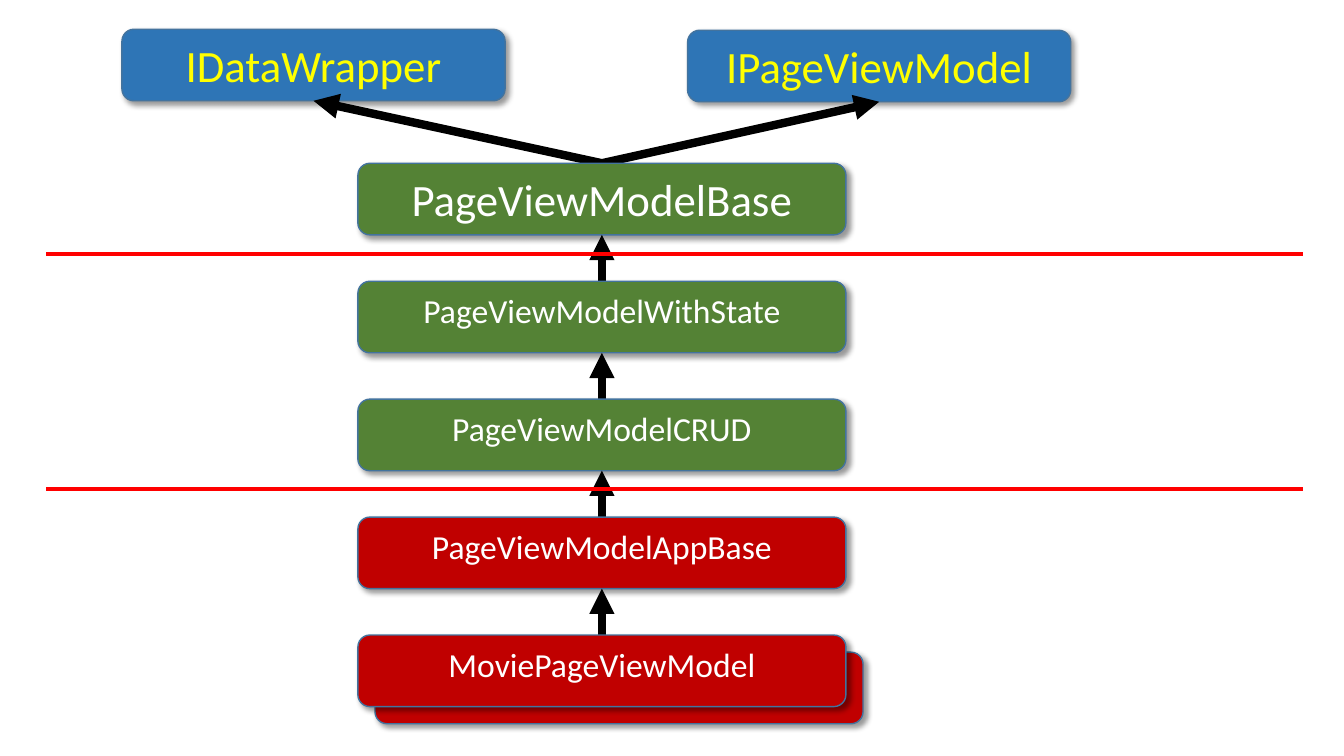
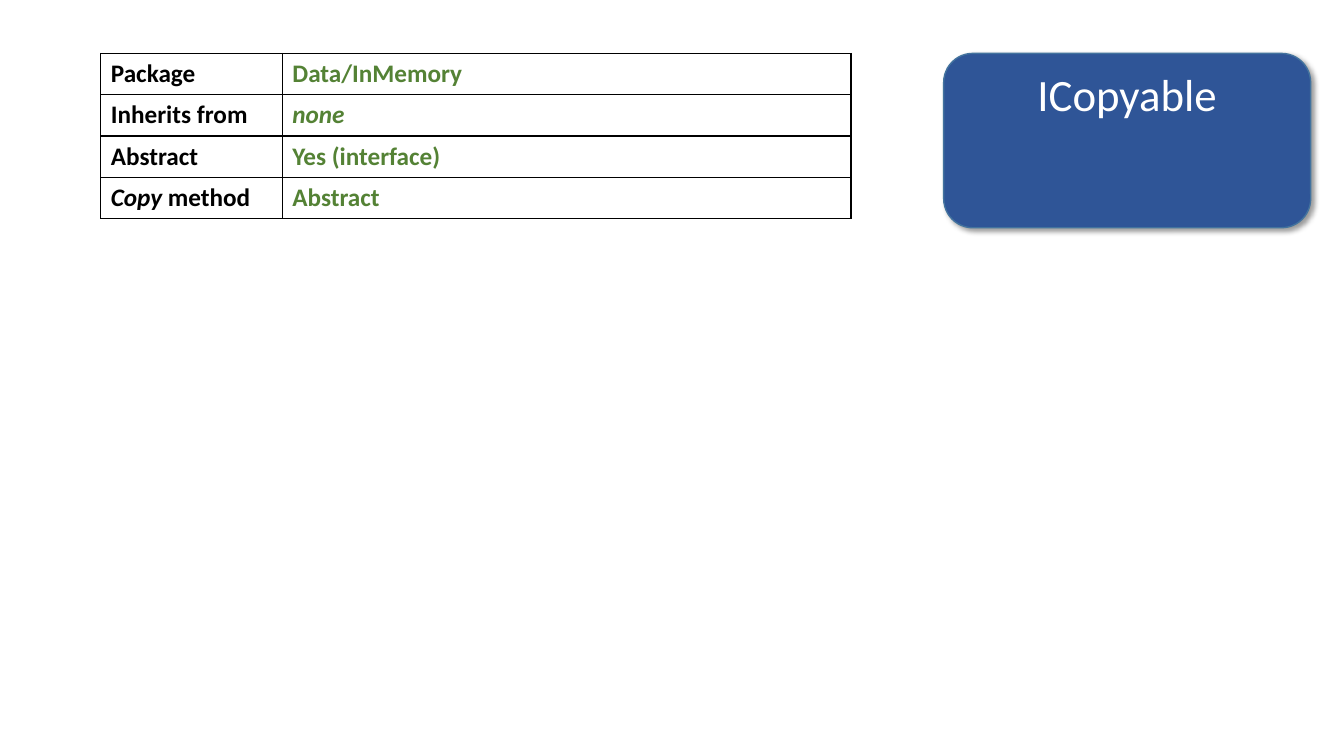
from lxml.etree import SubElement as Sub
from pptx import Presentation
from pptx.dml.color import RGBColor as RGB
from pptx.enum.shapes import MSO_CONNECTOR as Conn, MSO_SHAPE as Shape
from pptx.enum.text import MSO_ANCHOR as Anchor, PP_ALIGN as Align
from pptx.oxml.ns import qn
from pptx.util import Inches, Pt

BLACK = RGB(0x00, 0x00, 0x00)
WHITE = RGB(0xFF, 0xFF, 0xFF)
YELLOW = RGB(0xFF, 0xFF, 0x00)
BLUE = RGB(0x2E, 0x75, 0xB6)
NAVY = RGB(0x2F, 0x55, 0x97)
GREEN = RGB(0x54, 0x82, 0x35)
CRIMSON = RGB(0xC0, 0x00, 0x00)
RED = RGB(0xFF, 0x00, 0x00)
EDGE = RGB(0x43, 0x73, 0x9E)

TOP, BOTTOM = 0, 2  # connection sites of a box


class Deck:
    font = "Calibri"

    def __init__(self):
        self.prs = Presentation()
        self.prs.slide_width = Inches(13.33)
        self.prs.slide_height = Inches(7.5)

    def page(self):
        self.slide = self.prs.slides.add_slide(self.prs.slide_layouts[6])

    def run(self, para, text, size, color, bold=False, italic=False):
        run = para.add_run()
        run.text = text
        font = run.font
        font.name, font.size = self.font, Pt(size)
        font.bold, font.italic = bold, italic
        font.color.rgb = color

    def shade(self, shape):
        shape.shadow.inherit = False
        effects = shape.element.spPr.find(qn("a:effectLst"))
        outer = Sub(effects, qn("a:outerShdw"), blurRad=str(Pt(4)), dist=str(Pt(3)),
                    dir=str(45 * 60000), algn="tl", rotWithShape="0")
        color = Sub(outer, qn("a:srgbClr"), val=str(BLACK))
        Sub(color, qn("a:alpha"), val="40000")

    def box(self, x, y, w, h, fill, text="", size=24, color=WHITE):
        box = self.slide.shapes.add_shape(
            Shape.ROUNDED_RECTANGLE, Inches(x), Inches(y), Inches(w), Inches(h))
        box.fill.solid()
        box.fill.fore_color.rgb = fill
        box.line.color.rgb = EDGE
        box.line.width = Pt(1)
        self.shade(box)
        if text:
            frame = box.text_frame
            frame.word_wrap = True
            frame.vertical_anchor = Anchor.TOP
            para = frame.paragraphs[0]
            para.alignment = Align.CENTER
            self.run(para, text, size, color)
        return box

    def line(self, x1, y1, x2, y2, color, width):
        line = self.slide.shapes.add_connector(
            Conn.STRAIGHT, Inches(x1), Inches(y1), Inches(x2), Inches(y2))
        line.line.color.rgb = color
        line.line.width = Pt(width)
        Sub(line.element.spPr, qn("a:effectLst"))
        return line

    def arrow(self, child, parent):
        """Glue an arrow from child up to parent, layered behind the child."""
        arrow = self.line(0, 0, 1, 1, BLACK, 6)
        arrow.begin_connect(child, TOP)
        arrow.end_connect(parent, BOTTOM)
        Sub(arrow.element.spPr.find(qn("a:ln")), qn("a:tailEnd"), type="triangle")
        child.element.addprevious(arrow.element)

    def frame(self, cell):
        props = cell._tc.get_or_add_tcPr()
        for side in ("lnL", "lnR", "lnT", "lnB"):
            edge = Sub(props, qn("a:" + side), w=str(Pt(1)))
            fill = Sub(edge, qn("a:solidFill"))
            Sub(fill, qn("a:srgbClr"), val=str(BLACK))
        cell.fill.background()

    def table(self, x, y, cols, high, rows):
        table = self.slide.shapes.add_table(
            len(rows), len(cols), Inches(x), Inches(y),
            Inches(sum(cols)), Inches(high * len(rows))).table
        table.first_row = table.horz_banding = False
        for col, width in zip(table.columns, cols):
            col.width = Inches(width)
        for r, row in enumerate(rows):
            table.rows[r].height = Inches(high)
            for c, (runs, color) in enumerate(zip(row, (BLACK, GREEN))):
                cell = table.cell(r, c)
                self.frame(cell)
                for text, italic in runs:
                    self.run(cell.text_frame.paragraphs[0], text, 18, color, True, italic)


def tree(deck):
    deck.page()
    left, top, wide, high, step = 3.55, 1.62, 4.84, 0.71, 1.17

    # Second page model peeking out behind the last box
    deck.box(left + 0.17, top + 4 * step + 0.17, wide, high, CRIMSON)

    # Interfaces
    above = [deck.box(x, y, 3.8, high, BLUE, name, 32, YELLOW)
             for x, y, name in ((1.21, 0.29, "IDataWrapper"), (6.82, 0.3, "IPageViewModel"))]

    # Chain of classes, each pointing at what it inherits from
    chain = (("PageViewModelBase", GREEN, 32),
             ("PageViewModelWithState", GREEN, 24),
             ("PageViewModelCRUD", GREEN, 24),
             ("PageViewModelAppBase", CRIMSON, 24),
             ("MoviePageViewModel", CRIMSON, 24))
    for i, (name, fill, size) in enumerate(chain):
        box = deck.box(left, top + i * step, wide, high, fill, name, size)
        for parent in above:
            deck.arrow(box, parent)
        above = [box]

    # Layer borders
    for y in (2.52, 4.85):
        deck.line(0.46, y, 12.92, y, RED, 3)


def facts(deck):
    deck.page()
    deck.box(9.36, 0.53, 3.64, 1.73, NAVY, "ICopyable", 32)
    # Each cell is a list of (text, italic) runs
    deck.table(1, 0.53, (1.8, 5.64), 0.41, (
        ([("Package", False)], [("Data/InMemory", False)]),
        ([("Inherits from", False)], [("none", True)]),
        ([("Abstract", False)], [("Yes (interface)", False)]),
        ([("Copy", True), (" method", False)], [("Abstract", False)])))


def main():
    deck = Deck()
    tree(deck)
    facts(deck)
    deck.prs.save("out.pptx")


if __name__ == "__main__":
    main()
